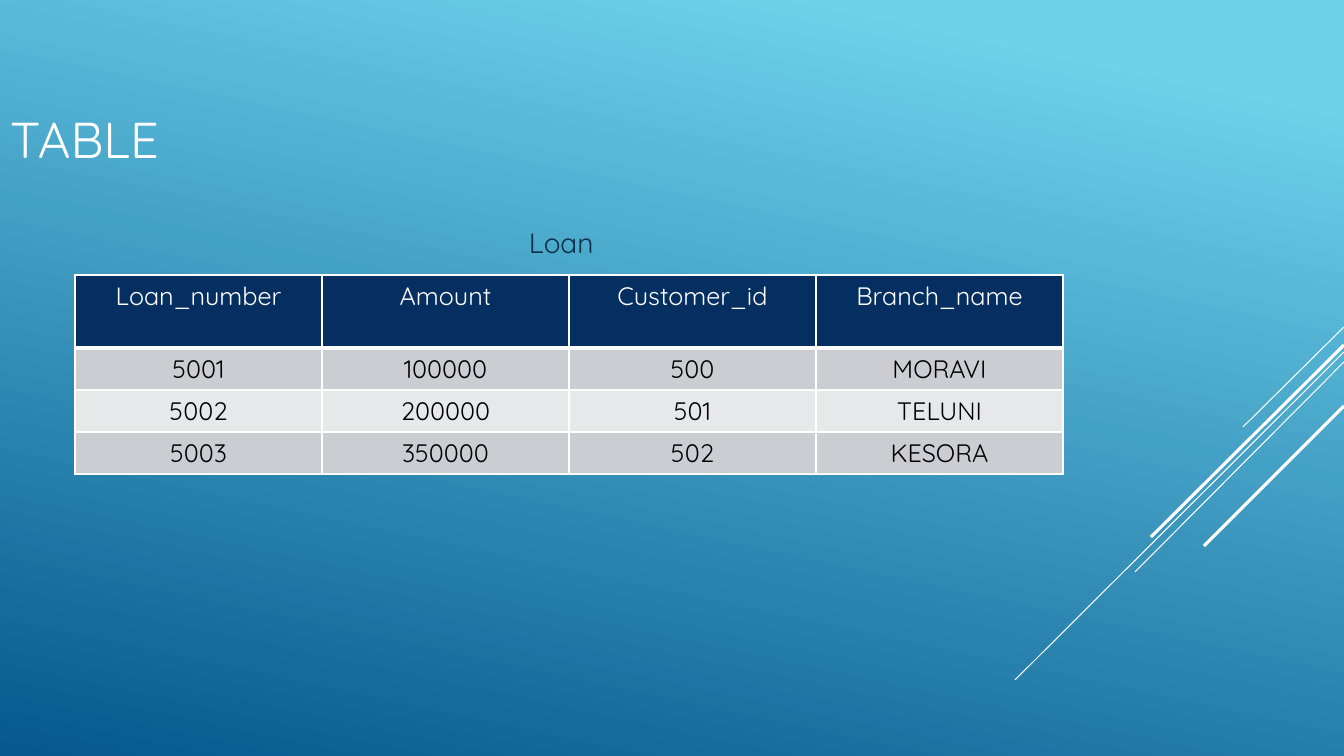
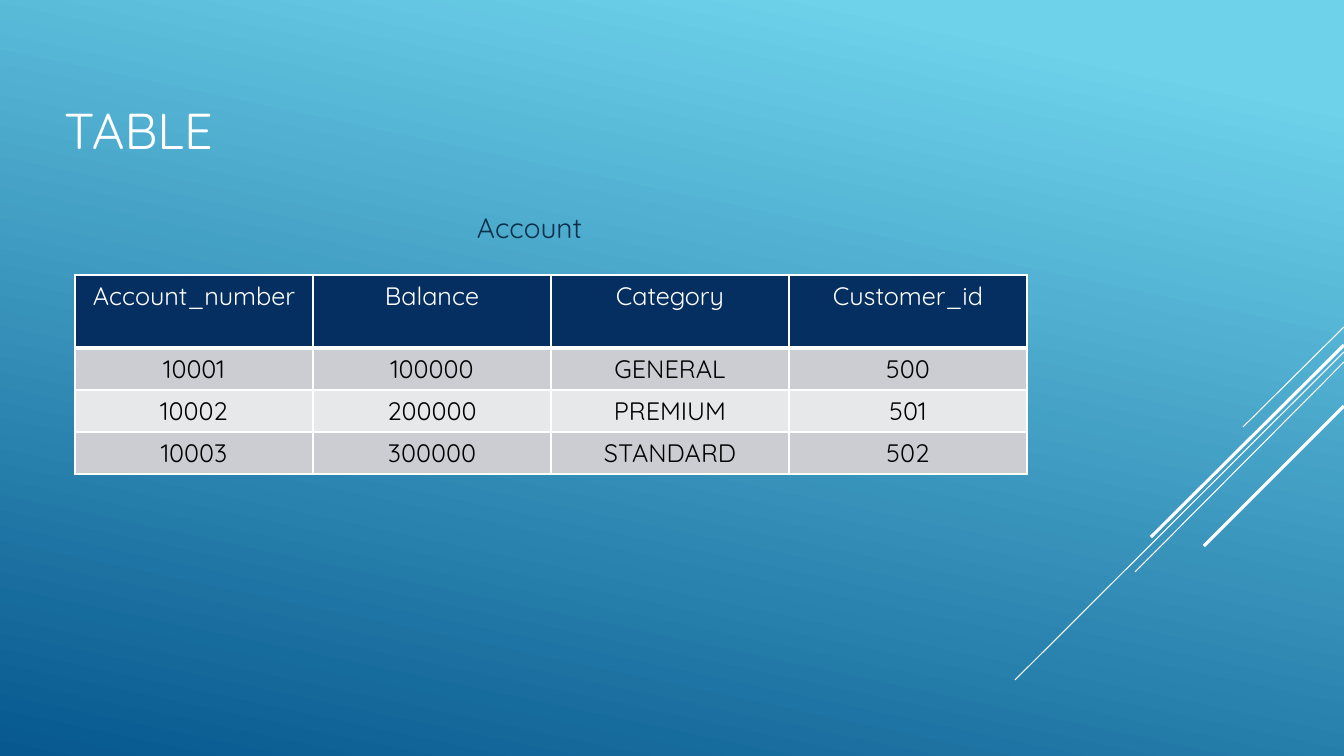
from lxml import etree
from pptx import Presentation
from pptx.dml.color import RGBColor
from pptx.enum.shapes import MSO_CONNECTOR
from pptx.enum.text import MSO_ANCHOR, MSO_AUTO_SIZE, PP_ALIGN
from pptx.oxml.ns import qn
from pptx.util import Pt

SLIDES = [
    {
        "title": "TABLE", "title_box": (0, 25, 215, 166), "title_inset": (10, 65),
        "caption": "Loan", "caption_box": (519, 159, 199, 166),
        "column_width": 247,
        "rows": [
            ("Loan_number", "Amount", "Customer_id", "Branch_name"),
            ("5001", "100000", "500", "MORAVI"),
            ("5002", "200000", "501", "TELUNI"),
            ("5003", "350000", "502", "KESORA"),
        ],
    },
    {
        "title": "TABLE", "title_box": (0, 46, 260, 166), "title_inset": (64, 5),
        "caption": "Account", "caption_box": (467, 144, 220, 166),
        "column_width": 238,
        "rows": [
            ("Account_number", "Balance", "Category", "Customer_id"),
            ("10001", "100000", "GENERAL", "500"),
            ("10002", "200000", "PREMIUM", "501"),
            ("10003", "300000", "STANDARD", "502"),
        ],
    },
]

COLORS = {
    "sky": "6ED2EB", "deep": "06588E", "white": "FFFFFF", "black": "000000",
    "caption": "0A304A", "header": "052F61", "odd": "CCCDD2", "even": "E7E8EA",
}
FONT = "Quicksand"
WIDTH, HEIGHT = 1344, 756
EMU_PER_PX = 914400 / 100.8
TABLE_LEFT, TABLE_TOP = 75, 275
HEADER_HEIGHT, ROW_HEIGHT = 73, 42
GRADIENT_STOPS = [(0.1, "sky"), (1, "deep")]
GRADIENT_ANGLE = 360 - 102
# Each stripe starts on the right edge: start y, end x, end y, width in points.
STRIPES = [
    (327, 1243, 427, 0.75),
    (352, 1015, 680, 0.75),
    (362, 1135, 572, 0.75),
    (345, 1151, 537, 2.25),
    (406, 1204, 546, 2.25),
]


def px(length):
    """Turn pixels into EMU."""
    return round(length * EMU_PER_PX)


def rgb(name):
    """Look up a colour by name."""
    return RGBColor.from_string(COLORS[name])


def style_text(frame, size, color, align=PP_ALIGN.LEFT):
    """Format every run of a text frame."""
    for paragraph in frame.paragraphs:
        paragraph.alignment = align
        for run in paragraph.runs:
            run.font.name = FONT
            run.font.size = Pt(size)
            run.font.bold = False
            run.font.color.rgb = rgb(color)


def set_background(master):
    """Give the master its diagonal blue gradient."""
    fill = master.background.fill
    fill.gradient()
    fill.gradient_angle = GRADIENT_ANGLE
    for stop, (position, color) in zip(fill.gradient_stops, GRADIENT_STOPS):
        stop.position = position
        stop.color.rgb = rgb(color)


def add_stripes(slide):
    """Draw the diagonal lines on the right edge."""
    for start_y, end_x, end_y, width in STRIPES:
        stripe = slide.shapes.add_connector(
            MSO_CONNECTOR.STRAIGHT, px(WIDTH), px(start_y), px(end_x), px(end_y))
        stripe.line.color.rgb = rgb("white")
        stripe.line.width = Pt(width)
        etree.SubElement(stripe._element.spPr, qn("a:effectLst"))


def place_title(slide, text, box, inset):
    """Move, fill and format the title placeholder."""
    title = slide.shapes.title
    title.left, title.top, title.width, title.height = map(px, box)
    frame = title.text_frame
    frame.text = text
    frame.auto_size = MSO_AUTO_SIZE.NONE
    frame.vertical_anchor = MSO_ANCHOR.MIDDLE
    frame.margin_left, frame.margin_top = map(px, inset)
    style_text(frame, 36, "white")


def add_caption(slide, text, box):
    """Add the name of the table above it."""
    frame = slide.shapes.add_textbox(*map(px, box)).text_frame
    frame.text = text
    frame.word_wrap = True
    frame.vertical_anchor = MSO_ANCHOR.MIDDLE
    style_text(frame, 20, "caption")


def set_borders(cell, top, bottom):
    """Draw white cell borders; top and bottom are widths in points."""
    properties = cell._tc.get_or_add_tcPr()
    for side, width in (("L", 1), ("R", 1), ("T", top), ("B", bottom)):
        line = etree.SubElement(properties, qn(f"a:ln{side}"), w=str(Pt(width)))
        fill = etree.SubElement(line, qn("a:solidFill"))
        etree.SubElement(fill, qn("a:srgbClr"), val=COLORS["white"])


def add_data_table(slide, rows, column_width):
    """Add a table with a dark header and banded rows."""
    heights = [HEADER_HEIGHT] + [ROW_HEIGHT] * (len(rows) - 1)
    columns = len(rows[0])
    table = slide.shapes.add_table(
        len(rows), columns, px(TABLE_LEFT), px(TABLE_TOP),
        px(column_width * columns), px(sum(heights))).table
    for column in table.columns:
        column.width = px(column_width)
    for r, (values, height) in enumerate(zip(rows, heights)):
        table.rows[r].height = px(height)
        band = "header" if r == 0 else "odd" if r % 2 else "even"
        for c, value in enumerate(values):
            cell = table.cell(r, c)
            cell.text_frame.text = value
            set_borders(cell, top=3 if r == 1 else 1, bottom=3 if r == 0 else 1)
            cell.fill.solid()
            cell.fill.fore_color.rgb = rgb(band)
            style_text(cell.text_frame, 18, "white" if r == 0 else "black",
                       PP_ALIGN.CENTER)


def main():
    """Build and save the presentation."""
    deck = Presentation()
    deck.slide_width, deck.slide_height = px(WIDTH), px(HEIGHT)
    set_background(deck.slide_master)
    title_only = deck.slide_layouts[5]
    for content in SLIDES:
        slide = deck.slides.add_slide(title_only)
        add_stripes(slide)
        place_title(slide, content["title"], content["title_box"],
                    content["title_inset"])
        add_caption(slide, content["caption"], content["caption_box"])
        add_data_table(slide, content["rows"], content["column_width"])
    deck.save("out.pptx")


main()
